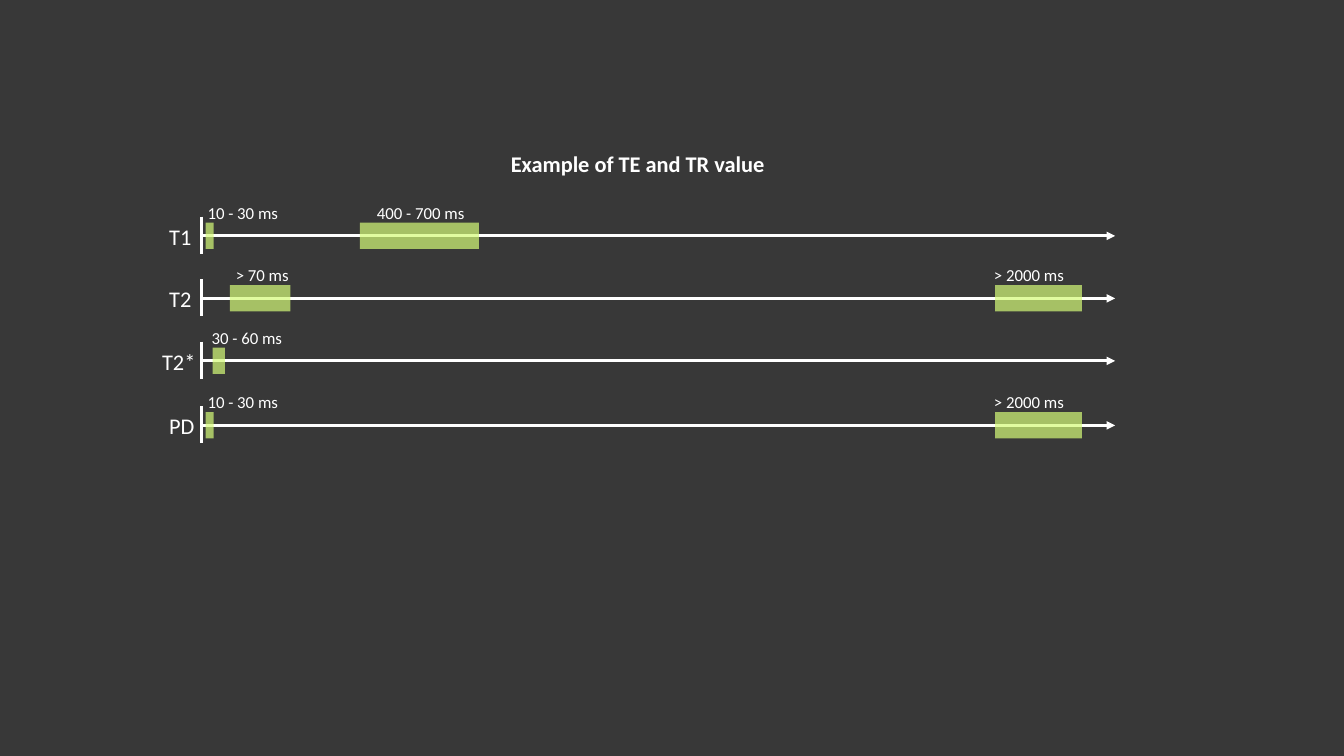
from lxml import etree
from pptx import Presentation
from pptx.dml.color import RGBColor
from pptx.enum.shapes import MSO_CONNECTOR, MSO_SHAPE
from pptx.enum.text import MSO_ANCHOR, MSO_AUTO_SIZE, PP_ALIGN
from pptx.oxml.ns import qn
from pptx.util import Inches, Pt

LINE, RECT = MSO_CONNECTOR.STRAIGHT, MSO_SHAPE.RECTANGLE
LEFT, CENTER, TOP = PP_ALIGN.LEFT, PP_ALIGN.CENTER, MSO_ANCHOR.TOP
FIT = MSO_AUTO_SIZE.SHAPE_TO_FIT_TEXT
WHITE, GREEN, DARK = "FFFFFF", "D5FC79", "383838"

TITLE = "Example of TE and TR value"
SHORT = ("10 - 30 ms", 2.04, 0.08, 1.96, 0.91)
LONG = ("> 2000 ms", 9.87, 0.86, 9.76, 0.91)
# name, axis height, name left, name width, bars (text, left, width, text left, text width)
ROWS = [
    ("T1", 2.34, 1.58, 0.42, [SHORT, ("400 - 700 ms", 3.57, 1.18, 3.64, 1.09)]),
    ("T2", 2.96, 1.58, 0.42, [("> 70 ms", 2.28, 0.6, 2.24, 0.74), LONG]),
    ("T2*", 3.58, 1.51, 0.54, [("30 - 60 ms", 2.11, 0.12, 2, 0.91)]),
    ("PD", 4.22, 1.58, 0.46, [SHORT, LONG]),
]
START, END = 2, 11.06
BAR = 0.26


def color(code):
    return RGBColor.from_string(code)


def write(shape, text, size, bold=False, align=LEFT):
    frame = shape.text_frame
    frame.text = text
    frame.word_wrap = False
    frame.auto_size = FIT
    frame.vertical_anchor = TOP
    para = frame.paragraphs[0]
    para.alignment = align
    font = para.runs[0].font
    font.name, font.size, font.bold = "Calibri", Pt(size), bold
    font.color.rgb = color(WHITE)


def label(slide, text, size, *box):
    write(slide.shapes.add_textbox(*map(Inches, box)), text, size)


def line(slide, ends, arrow=False):
    link = slide.shapes.add_connector(LINE, *map(Inches, ends))
    link.line.color.rgb = color(WHITE)
    link.line.width = Pt(2)
    if arrow:
        stroke = link.line._get_or_add_ln()
        etree.SubElement(stroke, qn("a:tailEnd"), type="triangle")
    etree.SubElement(link._element.spPr, qn("a:effectLst"))


def bar(slide, left, top, width):
    shape = slide.shapes.add_shape(RECT, *map(Inches, (left, top, width, BAR)))
    shape.shadow.inherit = False
    shape.line.fill.background()
    shape.fill.solid()
    shape.fill.fore_color.rgb = color(GREEN)
    tint = shape._element.spPr.find(qn("a:solidFill"))[0]
    etree.SubElement(tint, qn("a:alpha"), val="70000")


def main():
    deck = Presentation()
    deck.slide_width, deck.slide_height = Inches(13.33), Inches(7.5)
    slide = deck.slides.add_slide(deck.slide_layouts[5])
    slide.background.fill.solid()
    slide.background.fill.fore_color.rgb = color(DARK)

    title = slide.shapes.title
    title.left, title.top, title.width, title.height = map(
        Inches, (4.95, 1.44, 2.75, 0.37))
    write(title, TITLE, 16, True, CENTER)

    for name, mid, left, width, bars in ROWS:
        line(slide, (START, mid, END, mid), True)
        line(slide, (START, mid - 0.19, START, mid + 0.18))
        label(slide, name, 16, left, mid - 0.18, width, 0.37)
        for text, x, wide, text_x, text_wide in bars:
            bar(slide, x, mid - BAR / 2, wide)
            label(slide, text, 12, text_x, mid - 0.38, text_wide, 0.3)

    deck.save("out.pptx")


if __name__ == "__main__":
    main()
